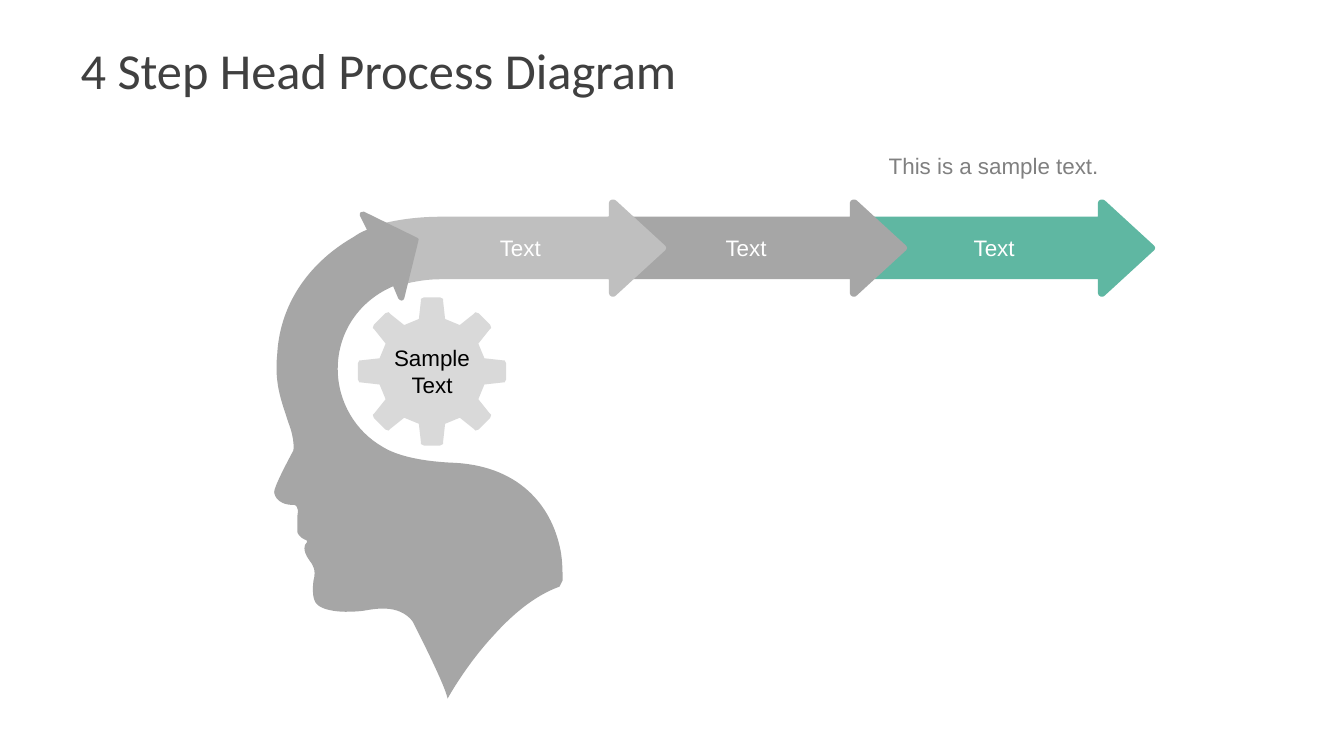
import math

import lxml.etree
import pptx
import pptx.dml.color
import pptx.enum.text
import pptx.oxml.ns
import pptx.util

Inches = pptx.util.Inches
RGBColor = pptx.dml.color.RGBColor
ALIGN = pptx.enum.text.PP_ALIGN
ANCHOR = pptx.enum.text.MSO_ANCHOR
qn = pptx.oxml.ns.qn

GREEN = RGBColor(0x5F, 0xB7, 0xA2)
GREY = RGBColor(0xA6, 0xA6, 0xA6)
LIGHT_GREY = RGBColor(0xBF, 0xBF, 0xBF)
PALE_GREY = RGBColor(0xD9, 0xD9, 0xD9)
TITLE_GREY = RGBColor(0x40, 0x40, 0x40)
NOTE_GREY = RGBColor(0x80, 0x80, 0x80)
WHITE = RGBColor(0xFF, 0xFF, 0xFF)
BLACK = RGBColor(0, 0, 0)

ARROW_MIDDLE = 2.46
SHAFT_HALF = 0.31
CURVED_TAIL = [
    (4.37, 2.15), (4.11, 2.15, 3.86, 2.19, 3.64, 2.26),
    (4, 2.82), (4.12, 2.79, 4.24, 2.77, 4.37, 2.77),
]
HEAD = [
    (4.47, 4.59), (4.1, 4.57, 3.9, 4.5, 3.79, 4.43),
    (3.53, 4.28, 3.35, 3.99, 3.35, 3.66), (3.35, 3.29, 3.57, 2.98, 3.9, 2.84),
    (3.95, 2.96), (3.97, 2.99, 4, 2.99, 4.01, 2.96),
    (4.15, 2.39), (4.16, 2.38, 4.15, 2.36, 4.14, 2.36),
    (3.61, 2.1), (3.59, 2.09, 3.56, 2.11, 3.57, 2.14),
    (3.64, 2.28), (3.59, 2.3, 3.55, 2.32, 3.51, 2.35),
    (3.09, 2.59, 2.78, 2.99, 2.75, 3.51), (2.72, 3.81, 2.79, 3.97, 2.86, 4.19),
    (2.93, 4.37, 2.91, 4.47, 2.91, 4.47), (2.84, 4.6, 2.72, 4.83, 2.72, 4.88),
    (2.72, 4.88, 2.72, 5.01, 2.92, 5.01), (2.92, 5.01, 2.97, 5.01, 2.95, 5.12),
    (2.95, 5.28), (2.95, 5.28, 2.96, 5.33, 3.04, 5.36),
    (3.04, 5.36, 3.06, 5.37, 3.03, 5.4), (3.03, 5.4, 2.99, 5.45, 3.07, 5.56),
    (3.1, 5.6, 3.14, 5.65, 3.11, 5.76), (3.11, 5.76, 3.08, 5.95, 3.15, 6),
    (3.15, 6, 3.24, 6.1, 3.6, 6.06), (3.72, 6.04, 3.95, 5.99, 4.09, 6.16),
    (4.09, 6.16, 4.41, 6.78, 4.44, 6.93), (4.44, 6.93, 4.62, 6.6, 4.9, 6.3),
    (5.08, 6.1, 5.3, 5.91, 5.55, 5.82), (5.56, 5.8, 5.57, 5.78, 5.58, 5.76),
    (5.58, 5.67, 5.58, 5.57, 5.56, 5.46), (5.47, 5, 5.13, 4.61, 4.47, 4.59),
]
HALF_TOOTH = [(0.13, 0.52), (0.11, 0.7), (0.11, 0.72), (0.08, 0.735)]


def bend_segments(sp, path):
    """Join the three points of each cubic item into one curve."""
    lines = iter(list(sp._element.iter(qn("a:lnTo"))))
    for item in path[1:]:
        segment = next(lines)
        if len(item) == 6:
            curve = lxml.etree.Element(qn("a:cubicBezTo"))
            segment.addprevious(curve)
            for line in (segment, next(lines), next(lines)):
                curve.append(line[0])
                line.getparent().remove(line)


def add_outline(s, path, color):
    """Add a filled outline of corners (x, y) and cubic curves (six numbers)."""
    points = [(Inches(item[i]), Inches(item[i + 1]))
              for item in path for i in range(0, len(item), 2)]
    builder = s.shapes.build_freeform(*points[0], scale=1.0)
    builder.add_line_segments(points[1:], close=True)
    sp = builder.convert_to_shape()
    bend_segments(sp, path)
    sp.shadow.inherit = False
    sp.fill.solid()
    sp.fill.fore_color.rgb = color
    sp.line.fill.background()
    return sp


def set_text(sp, text, *, size=16, font="Arial", color=WHITE, align=ALIGN.CENTER,
             anchor=ANCHOR.MIDDLE, wrap=True, insets=(0.1, 0.05)):
    """Write formatted text into a shape, one paragraph for each line."""
    tf = sp.text_frame
    tf.word_wrap = wrap
    tf.vertical_anchor = anchor
    tf.margin_left = tf.margin_right = Inches(insets[0])
    tf.margin_top = tf.margin_bottom = Inches(insets[1])
    for i, line in enumerate(text.split("\n")):
        p = tf.add_paragraph() if i else tf.paragraphs[0]
        p.alignment = align
        r = p.add_run()
        r.text = line
        r.font.size = pptx.util.Pt(size)
        r.font.name = font
        r.font.color.rgb = color


def add_text(s, text, left, top, width, height, **style):
    """Add a text box."""
    sp = s.shapes.add_textbox(*map(Inches, (left, top, width, height)))
    set_text(sp, text, **style)


def add_arrow(s, tip, tail, color, label_left):
    """Add an arrow with rounded corners and its label."""
    neck = tip - 0.57
    m = ARROW_MIDDLE
    path = [
        (tip - 0.01, m - 0.02), (tip - 0.5, m - 0.47),
        (tip - 0.52, m - 0.49, neck, m - 0.48, neck, m - 0.45),
        (neck, m - SHAFT_HALF), *tail, (neck, m + SHAFT_HALF),
        (neck, m + 0.45),
        (neck, m + 0.48, tip - 0.52, m + 0.5, tip - 0.5, m + 0.47),
        (tip - 0.01, m + 0.02), (tip, m + 0.01, tip, m - 0.01, tip - 0.01, m - 0.02),
    ]
    add_outline(s, path, color)
    add_text(s, "Text", label_left, 2.27, 0.84, 0.37, wrap=False)


def add_gear(s, x, y, teeth, text):
    """Add a gear centred on x, y with text inside."""
    tooth = [(-a, r) for a, r in HALF_TOOTH] + HALF_TOOTH[::-1]
    path = []
    for i in range(teeth):
        turn = 2 * math.pi * i / teeth
        cos, sin = math.cos(turn), math.sin(turn)
        path += [(x + a * cos + r * sin, y + a * sin - r * cos) for a, r in tooth]
    set_text(add_outline(s, path, PALE_GREY), text, color=BLACK)


def main():
    """Build and save the slide."""
    prs = pptx.Presentation()
    prs.slide_width, prs.slide_height = Inches(13.33), Inches(7.5)
    s = prs.slides.add_slide(prs.slide_layouts[6])

    top, bottom = ARROW_MIDDLE - SHAFT_HALF, ARROW_MIDDLE + SHAFT_HALF
    for tip, left, color, label_left in ((11.46, 8.49, GREEN, 9.44),
                                         (9, 6.03, GREY, 6.98)):
        add_arrow(s, tip, [(left, top), (left, bottom)], color, label_left)
    add_arrow(s, 6.61, CURVED_TAIL, LIGHT_GREY, 4.74)
    add_text(s, "4 Step Head Process Diagram", 0.67, 0.3, 12, 0.78, size=36,
             font="Calibri", color=TITLE_GREY, align=ALIGN.LEFT, insets=(0.13, 0.07))
    add_outline(s, HEAD, GREY)
    add_gear(s, 4.285, 3.685, 8, "Sample\nText")
    add_text(s, "This is a sample text.", 8.63, 1.46, 2.45, 0.37,
             color=NOTE_GREY, anchor=ANCHOR.BOTTOM)
    prs.save("out.pptx")


if __name__ == "__main__":
    main()
